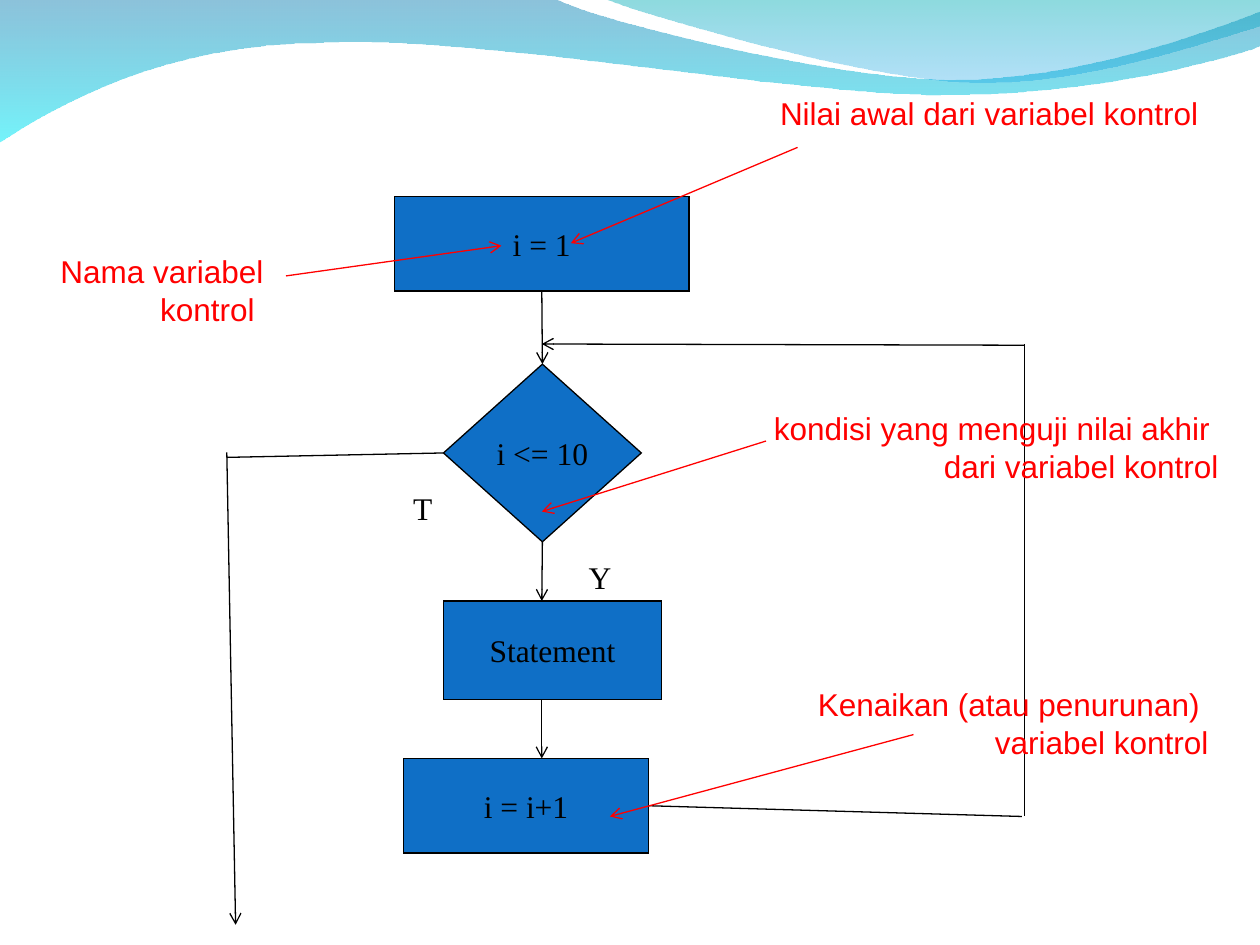
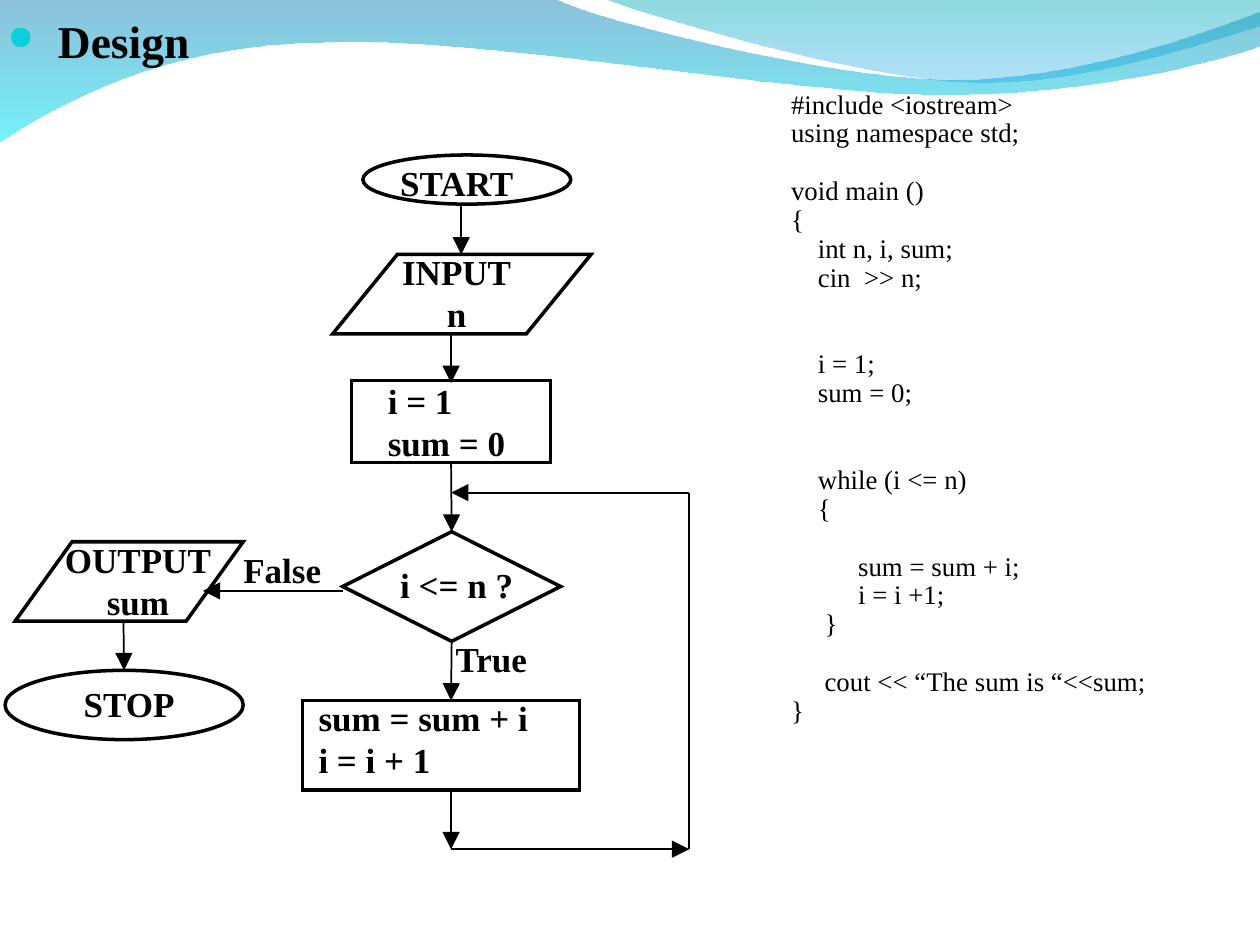
from lxml import etree
from pptx import Presentation
from pptx.dml.color import RGBColor
from pptx.enum.shapes import MSO_CONNECTOR, MSO_SHAPE
from pptx.enum.text import MSO_ANCHOR, MSO_AUTO_SIZE, PP_ALIGN
from pptx.oxml.ns import qn
from pptx.util import Inches, Pt

BLACK = RGBColor(0x00, 0x00, 0x00)
RED = RGBColor(0xFF, 0x00, 0x00)
BLUE = RGBColor(0x0F, 0x6F, 0xC6)
CYAN = RGBColor(0x0B, 0xD0, 0xD9)
SEA = RGBColor(0x00, 0x79, 0xAF)
AQUA = RGBColor(0x00, 0xEB, 0xF8)
TEAL = RGBColor(0x00, 0xAD, 0xB6)
SKY = RGBColor(0x00, 0x9B, 0xE5)
SERIF, SANS = "Times New Roman", "Arial"

RECT, OVAL = MSO_SHAPE.RECTANGLE, MSO_SHAPE.OVAL
DIAMOND, SLANT = MSO_SHAPE.DIAMOND, MSO_SHAPE.PARALLELOGRAM
STRAIGHT = MSO_CONNECTOR.STRAIGHT
LEFT, CENTER, RIGHT = PP_ALIGN.LEFT, PP_ALIGN.CENTER, PP_ALIGN.RIGHT
TOP, MIDDLE = MSO_ANCHOR.TOP, MSO_ANCHOR.MIDDLE
FIXED = MSO_AUTO_SIZE.NONE

# Connection sites of a shape
UP, WEST, DOWN, EAST = range(4)

# Arrowheads
OPEN = {"type": "arrow"}
SOLID = {"type": "triangle", "w": "lg", "len": "lg"}

PITCH = 16.5  # line height of the code, in points
CODE = """#include <iostream>
using namespace std;

void main ()
{
    int n, i, sum;
    cin  >> n;


    i = 1;
    sum = 0;


    while (i <= n)
    {

          sum = sum + i;
          i = i +1;
     }

     cout << “The sum is “<<sum;
}"""

# Waves: a start point, then runs of 2 (line) or 6 (curve) numbers
BAND = [(0, -0.01), (4.4, -0.01), (4.76, 0.17, 6.64, 0.63, 7.58, 0.63),
        (8.53, 0.63, 9.58, 0.26, 10, 0.09), (10.01, 0.36),
        (9.83, 0.44, 8.7, 0.76, 7.46, 0.75),
        (6.22, 0.75, 3.82, 0.28, 2.57, 0.34),
        (1.29, 0.35, 0.46, 0.83, -0.01, 1.13)]
CREST = [(4.79, -0.01), (5.09, 0.11, 6.82, 0.62, 7.69, 0.65),
         (8.56, 0.69, 9.61, 0.32, 10, 0.21), (10, 0)]


def box(*area):
    return [Inches(v) for v in area]


def write(frame, lines, size=18, font=SERIF, color=BLACK, bold=False,
          align=CENTER, anchor=TOP, pitch=None, wrap=True):
    """Fill a frame; an empty line becomes space before the next one."""
    frame.word_wrap = wrap
    frame.auto_size = FIXED
    frame.vertical_anchor = anchor
    gap = 0
    para = None
    for line in lines:
        if not line:
            gap += 1
            continue
        para = frame.add_paragraph() if para else frame.paragraphs[0]
        para.alignment = align
        if pitch:
            para.line_spacing = Pt(pitch)
            para.space_before = Pt(gap * pitch)
        gap = 0
        run = para.add_run()
        run.text = line
        run.font.size, run.font.name = Pt(size), font
        run.font.bold, run.font.color.rgb = bold, color


def label(slide, area, *lines, **style):
    write(slide.shapes.add_textbox(*box(*area)).text_frame, lines, **style)


def node(slide, kind, area, *lines, fill=None, width=2.0, slope=None):
    shape = slide.shapes.add_shape(kind, *box(*area))
    shape.shadow.inherit = False
    if fill is None:
        shape.fill.background()
    else:
        shape.fill.solid()
        shape.fill.fore_color.rgb = fill
    shape.line.color.rgb, shape.line.width = BLACK, Pt(width)
    stroke = shape.element.spPr.find(qn("a:ln"))
    etree.SubElement(stroke, qn("a:miter"), lim="800000")
    if slope:
        shape.adjustments[0] = slope
    if lines:
        write(shape.text_frame, lines, anchor=MIDDLE, wrap=False)
    return shape


def link(slide, start, end, color=BLACK, width=0.75, head=None):
    """Join two ends, each a point (x, y) or a pair (shape, site)."""
    ends = [None if hasattr(e[0], "shape_id") else box(*e)
            for e in (start, end)]
    first, last = [e or (0, 0) for e in ends]
    line = slide.shapes.add_connector(STRAIGHT, *first, *last)
    if ends[0] is None:
        line.begin_connect(*start)
    if ends[1] is None:
        line.end_connect(*end)
    line.line.color.rgb, line.line.width = color, Pt(width)
    if head:
        stroke = line.element.spPr.find(qn("a:ln"))
        etree.SubElement(stroke, qn("a:tailEnd"), **head)
    etree.SubElement(line.element.spPr, qn("a:effectLst"))


def bend(shape, runs):
    """Turn the straight sides into curves where a run has control points."""
    trail = next(shape.element.iter(qn("a:path")))
    for side, run in zip(trail.findall(qn("a:lnTo")), runs[1:]):
        if len(run) == 2:
            continue
        curve = etree.Element(qn("a:cubicBezTo"))
        for x, y in zip(run[::2], run[1::2]):
            etree.SubElement(curve, qn("a:pt"), x=str(Inches(x) - shape.left),
                             y=str(Inches(y) - shape.top))
        trail.replace(side, curve)


def wave(deck, slide, runs, colors, alphas, number):
    """Draw a see-through wave and move it to the slide master."""
    first, *rest = [box(*run[-2:]) for run in runs]
    pen = slide.shapes.build_freeform(*first)
    pen.add_line_segments(rest, close=True)
    shape = pen.convert_to_shape()
    bend(shape, runs)
    shape.shadow.inherit = False
    shape.line.fill.background()
    shape.fill.gradient()
    shape.fill.gradient_angle = 270
    for stop, color in zip(shape.fill.gradient_stops, colors):
        stop.color.rgb = color
    tints = list(shape.element.spPr.iter(qn("a:srgbClr")))
    for tint, alpha in zip(tints, alphas):
        etree.SubElement(tint, qn("a:alpha"), val=str(alpha * 1000))
    shape.element.nvSpPr.cNvPr.id = number
    deck.slide_master.element.cSld.spTree.insert(number - 18, shape.element)


def head_line(slide, text):
    title = slide.shapes.title
    title.left, title.top, title.width, title.height = box(-0.04, 0.05, 3.64, 0.6)
    props = title.text_frame.paragraphs[0]._p.get_or_add_pPr()
    props.set("marL", str(Inches(0.4)))
    props.set("indent", str(Inches(-0.4)))
    tint = etree.SubElement(props, qn("a:buClr"))
    etree.SubElement(tint, qn("a:srgbClr"), val=str(CYAN))
    etree.SubElement(props, qn("a:buSzPct"), val="73000")
    etree.SubElement(props, qn("a:buChar"), char="●")
    write(title.text_frame, [text], size=26, bold=True, align=LEFT)


def loop_slide(slide):
    def step(kind, area, text):
        return node(slide, kind, area, text, fill=BLUE, width=0.75)

    # Steps
    init = step(RECT, (3.13, 1.56, 2.34, 0.75), "i = 1")
    test = step(DIAMOND, (3.52, 2.89, 1.57, 1.41), "i <= 10")
    step(RECT, (3.52, 4.77, 1.73, 0.78), "Statement")
    count = step(RECT, (3.2, 6.02, 1.95, 0.75), "i = i+1")
    label(slide, (4.53, 4.38, 0.42, 0.4), "Y", align=RIGHT)
    label(slide, (3.11, 3.83, 0.42, 0.4), "T", align=RIGHT)

    # Flow
    for start, end in [((init, DOWN), (test, UP)),
                       ((test, DOWN), (4.3, 4.77)),
                       ((4.3, 5.55), (4.3, 6.02)),
                       ((8.13, 2.74), (4.3, 2.73)),
                       ((1.8, 3.59), (1.87, 7.34))]:
        link(slide, start, end, head=OPEN)
    for start, end in [((8.13, 2.73), (8.13, 6.48)),
                       ((count, EAST), (8.11, 6.48)),
                       ((test, WEST), (1.8, 3.63))]:
        link(slide, start, end)

    # Red notes with their pointers
    notes = [
        ((0.16, 1.95, 2.03, 0.7), ["Nama variabel kontrol "],
         (2.27, 2.19), (3.98, 1.95)),
        ((5.47, 0.7, 4.14, 0.4), ["Nilai awal dari variabel kontrol"],
         (6.33, 1.17), (4.53, 1.93)),
        ((5.86, 5.39, 3.83, 0.7),
         ["Kenaikan (atau penurunan) ", "variabel kontrol"],
         (7.25, 5.83), (4.84, 6.48)),
        ((5.39, 3.2, 4.38, 0.7),
         ["kondisi yang menguji nilai akhir ", "dari variabel kontrol"],
         (6.08, 3.5), (4.3, 4.06)),
    ]
    for area, lines, start, end in notes:
        label(slide, area, *lines, font=SANS, color=RED, align=RIGHT)
        link(slide, start, end, color=RED, head=OPEN)


def sum_slide(slide):
    head_line(slide, "Design")

    # Outlines
    node(slide, OVAL, (2.88, 1.23, 1.65, 0.39))
    node(slide, SLANT, (2.64, 2.02, 2.05, 0.63), slope=0.814)
    init = node(slide, RECT, (2.79, 3.02, 1.58, 0.65))
    test = node(slide, DIAMOND, (2.72, 4.22, 1.73, 0.87))
    node(slide, RECT, (2.4, 5.56, 2.2, 0.71))
    node(slide, SLANT, (0.12, 4.3, 1.81, 0.63), slope=0.718)
    stop = node(slide, OVAL, (0.04, 5.32, 1.89, 0.55))

    # Flow
    for start, end in [((3.66, 1.62), (3.66, 2.02)),
                       ((3.58, 2.65), (3.58, 3.04)),
                       ((init, DOWN), (test, UP)),
                       ((test, DOWN), (3.58, 5.56)),
                       ((3.58, 6.27), (3.58, 6.74)),
                       ((3.58, 6.74), (5.47, 6.74)),
                       ((5.47, 3.91), (3.58, 3.91)),
                       ((2.72, 4.69), (1.61, 4.69)),
                       ((0.98, 4.93), (stop, UP))]:
        link(slide, start, end, width=1, head=SOLID)
    link(slide, (5.47, 3.91), (5.47, 6.74), width=1)

    # Words
    for area, *lines in [((2.8, 1.23, 1.65, 0.44), "START"),
                         ((2.56, 1.94, 2.13, 0.77), "INPUT", "n"),
                         ((0.27, 4.22, 1.65, 0.77), "OUTPUT", "sum"),
                         ((0.2, 5.36, 1.65, 0.44), "STOP"),
                         ((2.8, 4.42, 1.65, 0.44), "i <= n ?"),
                         ((3.27, 5.01, 1.26, 0.44), "True"),
                         ((1.69, 4.3, 1.1, 0.44), "False")]:
        label(slide, area, *lines, size=20, bold=True, anchor=MIDDLE)
    for area, *lines in [((2.98, 2.96, 1.13, 0.77), "i = 1", "sum = 0"),
                         ((2.43, 5.48, 2.34, 0.77), "sum = sum + i", "i = i + 1")]:
        label(slide, area, *lines, size=20, bold=True, align=LEFT)

    # Program
    label(slide, (6.18, 0.67, 3.8, 6.23), *CODE.split("\n"),
          size=15.3, align=LEFT, pitch=PITCH)


def main():
    deck = Presentation()
    deck.slide_width, deck.slide_height = box(10, 7.5)
    bare, titled = deck.slide_layouts[6], deck.slide_layouts[5]

    first = deck.slides.add_slide(bare)
    wave(deck, first, BAND, (SEA, AQUA), (45, 55), 20)
    wave(deck, first, CREST, (TEAL, SKY), (45, 30), 21)
    loop_slide(first)
    sum_slide(deck.slides.add_slide(titled))
    deck.save("out.pptx")


if __name__ == "__main__":
    main()
